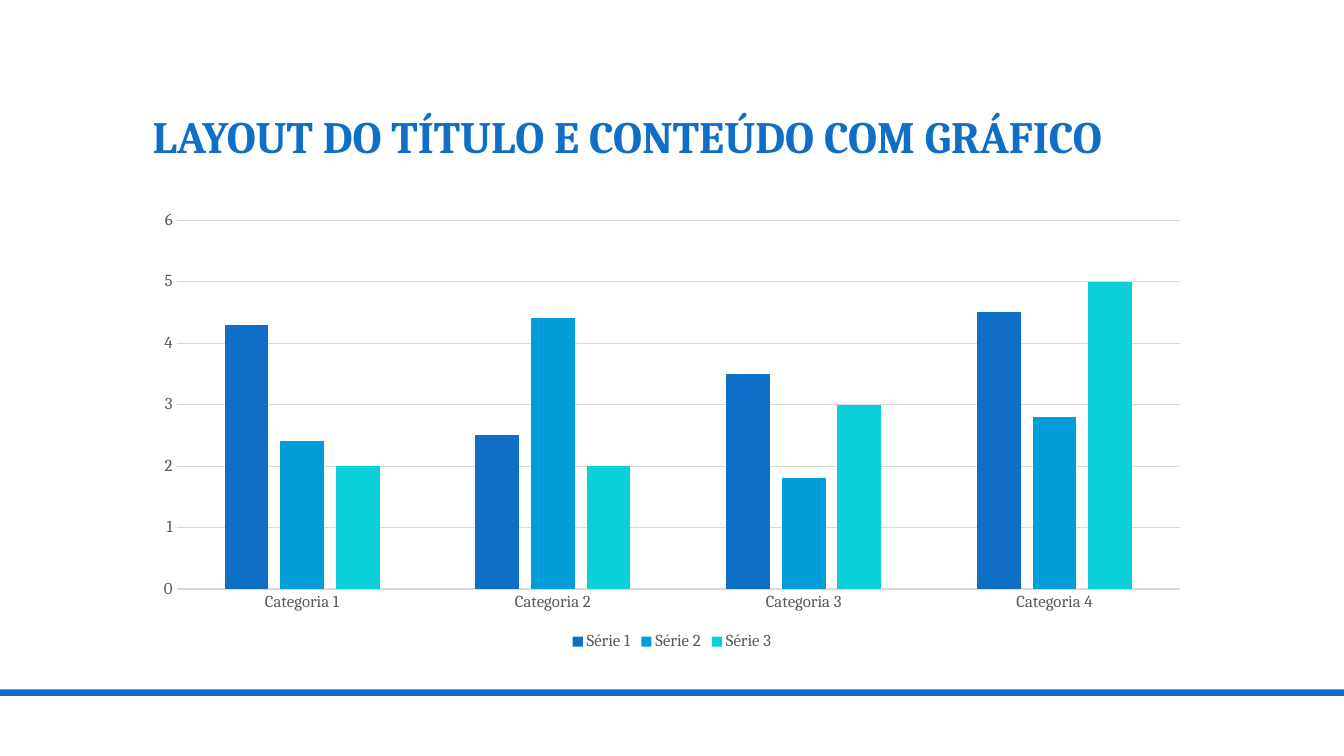
"""Build a title slide part with a clustered column chart and a footer rule."""
from dataclasses import dataclass

from pptx import Presentation
from pptx.chart.axis import CategoryAxis, ValueAxis
from pptx.chart.data import CategoryChartData
from pptx.dml.color import RGBColor
from pptx.dml.line import LineFormat
from pptx.enum.chart import XL_CHART_TYPE, XL_LEGEND_POSITION, XL_TICK_MARK
from pptx.enum.text import MSO_ANCHOR
from pptx.slide import Slide
from pptx.text.text import Font
from pptx.util import Length, Pt


@dataclass(frozen=True)
class Theme:
    """Colours, font and type sizes of the slide."""

    font: str = "Cambria"
    primary: str = "0F6FC6"
    secondary: str = "009DD9"
    tertiary: str = "0BD0D9"
    label: str = "595959"
    rule: str = "D9D9D9"
    title_size: float = 32
    label_size: float = 12
    rule_width: float = 0.75


@dataclass(frozen=True)
class Box:
    """A rectangle in points."""

    left: float
    top: float
    width: float
    height: float

    def lengths(self) -> tuple[Length, Length, Length, Length]:
        """Return the four measures as lengths."""
        return Pt(self.left), Pt(self.top), Pt(self.width), Pt(self.height)


@dataclass(frozen=True)
class Series:
    """One named series of columns."""

    name: str
    values: tuple[float, ...]
    color: str


THEME = Theme()
SLIDE_WIDTH, SLIDE_HEIGHT = 960, 540
TITLE_BOX = Box(102, 30, 756, 90)
CHART_BOX = Box(102, 144, 756, 324)
FOOTER_BOX = Box(0, 492.5, SLIDE_WIDTH, 4.5)
TITLE = "LAYOUT DO TÍTULO E CONTEÚDO COM GRÁFICO"
CATEGORIES = ("Categoria 1", "Categoria 2", "Categoria 3", "Categoria 4")
SERIES = (
    Series("Série 1", (4.3, 2.5, 3.5, 4.5), THEME.primary),
    Series("Série 2", (2.4, 4.4, 1.8, 2.8), THEME.secondary),
    Series("Série 3", (2, 2, 3, 5), THEME.tertiary),
)


def style_font(font: Font, size: float, color: str, bold: bool = False) -> None:
    """Apply the theme font with a size, colour and weight."""
    font.name = THEME.font
    font.size = Pt(size)
    font.bold = bold
    font.color.rgb = RGBColor.from_string(color)


def style_rule(line: LineFormat) -> None:
    """Draw a line as a thin grey rule."""
    line.color.rgb = RGBColor.from_string(THEME.rule)
    line.width = Pt(THEME.rule_width)


def style_axis(axis: CategoryAxis | ValueAxis) -> None:
    """Remove the tick marks and set the label font."""
    axis.major_tick_mark = XL_TICK_MARK.NONE
    axis.minor_tick_mark = XL_TICK_MARK.NONE
    style_font(axis.tick_labels.font, THEME.label_size, THEME.label)


def add_footer(slide: Slide) -> None:
    """Add the coloured band across the foot of the slide."""
    band = slide.shapes.add_shape(1, *FOOTER_BOX.lengths())
    band.shadow.inherit = False
    band.fill.solid()
    band.fill.fore_color.rgb = RGBColor.from_string(THEME.primary)
    band.line.fill.background()


def add_title(slide: Slide) -> None:
    """Add the title, anchored to the bottom of its box."""
    frame = slide.shapes.add_textbox(*TITLE_BOX.lengths()).text_frame
    frame.word_wrap = True
    frame.vertical_anchor = MSO_ANCHOR.BOTTOM
    heading = frame.paragraphs[0]
    heading.text = TITLE
    heading.line_spacing = 0.9
    style_font(heading.font, THEME.title_size, THEME.primary, bold=True)


def add_column_chart(slide: Slide) -> None:
    """Add the clustered columns with their axes and legend."""
    data = CategoryChartData()
    data.categories = CATEGORIES
    for series in SERIES:
        data.add_series(series.name, series.values)
    chart = slide.shapes.add_chart(
        XL_CHART_TYPE.COLUMN_CLUSTERED, *CHART_BOX.lengths(), data
    ).chart
    style_font(chart.font, THEME.label_size, THEME.label)
    chart.has_title = False

    columns = chart.plots[0]
    columns.vary_by_categories = False
    columns.gap_width = 219
    columns.overlap = -27
    for series, drawn in zip(SERIES, columns.series):
        drawn.format.fill.solid()
        drawn.format.fill.fore_color.rgb = RGBColor.from_string(series.color)

    style_axis(chart.category_axis)
    style_rule(chart.category_axis.format.line)
    style_axis(chart.value_axis)
    chart.value_axis.format.line.fill.background()
    chart.value_axis.minimum_scale = 0
    chart.value_axis.maximum_scale = 6
    chart.value_axis.major_unit = 1
    style_rule(chart.value_axis.major_gridlines.format.line)

    chart.has_legend = True
    chart.legend.position = XL_LEGEND_POSITION.BOTTOM
    chart.legend.include_in_layout = False
    style_font(chart.legend.font, THEME.label_size, THEME.label)


def main() -> None:
    """Build and save the presentation."""
    deck = Presentation()
    deck.slide_width, deck.slide_height = Pt(SLIDE_WIDTH), Pt(SLIDE_HEIGHT)
    slide = deck.slides.add_slide(deck.slide_layouts[6])
    add_footer(slide)
    add_title(slide)
    add_column_chart(slide)
    deck.save("out.pptx")


if __name__ == "__main__":
    main()
